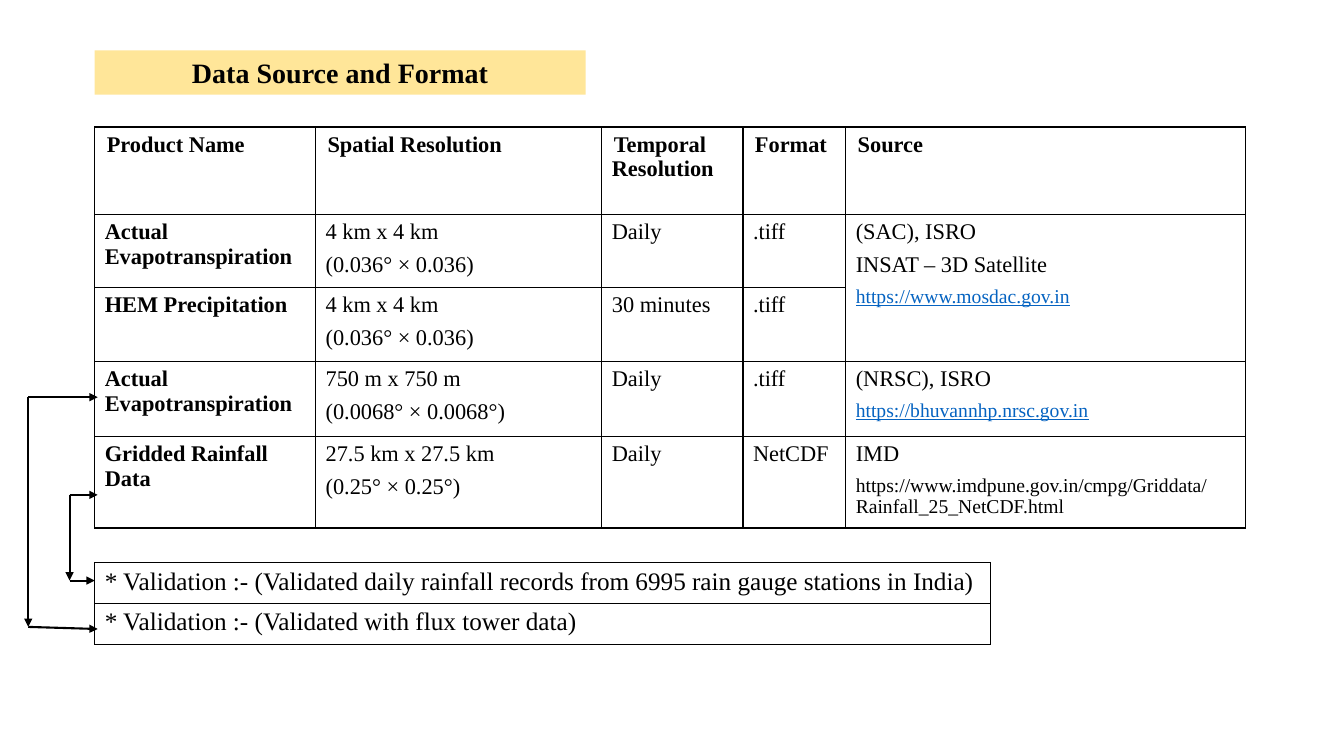
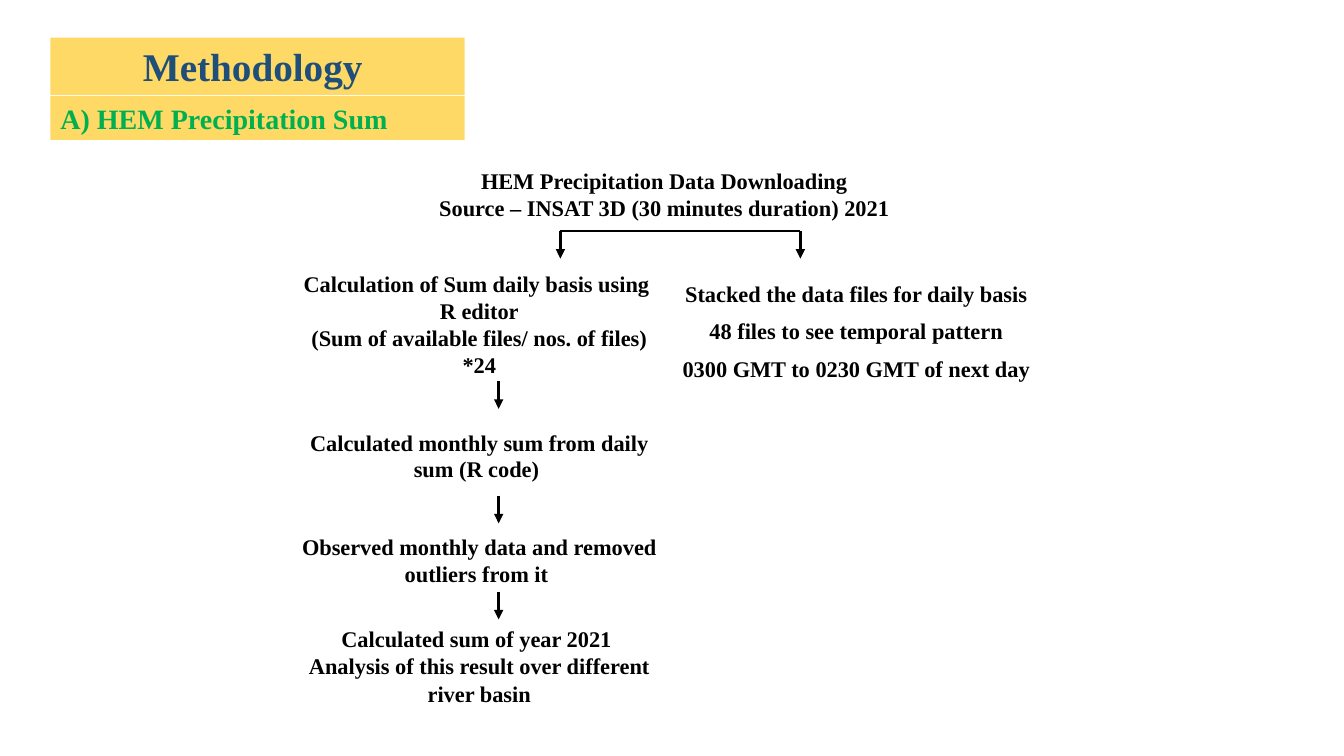
import pptx
import pptx.util
import pptx.dml.color
import pptx.enum.shapes
import pptx.enum.text
import pptx.oxml
import pptx.oxml.ns

Pt = pptx.util.Pt
ALIGN = pptx.enum.text.PP_ALIGN
FONT = "Times New Roman"
COLORS = {
    "black": "000000",
    "pale_yellow": "FFE699",
    "yellow": "FFD966",
    "navy": "1F4E79",
    "green": "00B050",
    "link": "0563C1",
}

# Paragraph formats
BODY = {"alignment": ALIGN.JUSTIFY, "space_after": Pt(6)}
LEFT = {"alignment": ALIGN.LEFT, "space_after": Pt(6)}
PLAIN = {"alignment": ALIGN.LEFT}
STEP = {"alignment": ALIGN.CENTER, "line_spacing": 1.1}
STEP_END = {"alignment": ALIGN.CENTER, "line_spacing": 1.07, "space_after": Pt(8)}
STACKED = {"alignment": ALIGN.CENTER, "line_spacing": 1.5}


def rgb(name):
    return pptx.dml.color.RGBColor.from_string(COLORS[name])


def set_values(target, values):
    for name, value in values.items():
        setattr(target, name, value)


def text(content, layout=BODY, size=16, color="black", indent=0, **font):
    """Describe one paragraph."""
    return {"content": content, "layout": layout, "color": color, "indent": indent,
            "font": {"name": FONT, "size": Pt(size), "bold": False, **font}}


def write(frame, paragraphs):
    frame.word_wrap = True
    for index, item in enumerate(paragraphs):
        paragraph = frame.add_paragraph() if index else frame.paragraphs[0]
        set_values(paragraph, item["layout"])
        if item["indent"]:
            paragraph._p.get_or_add_pPr().set("indent", str(Pt(item["indent"])))
        run = paragraph.add_run()
        run.text = item["content"]
        set_values(run.font, item["font"])
        run.font.color.rgb = rgb(item["color"])


def add_band(slide, box, fill, paragraph):
    shape = slide.shapes.add_shape(
        pptx.enum.shapes.MSO_SHAPE.RECTANGLE, *map(Pt, box))
    shape.shadow.inherit = False
    shape.fill.solid()
    shape.fill.fore_color.rgb = rgb(fill)
    shape.line.fill.background()
    write(shape.text_frame, [paragraph])


def add_line(slide, start, end, width=1.5, arrow=True):
    connector = slide.shapes.add_connector(
        pptx.enum.shapes.MSO_CONNECTOR.STRAIGHT, *map(Pt, (*start, *end)))
    connector.line.width = Pt(width)
    connector.line.color.rgb = rgb("black")
    if arrow:
        head = pptx.oxml.parse_xml(
            f'<a:tailEnd {pptx.oxml.ns.nsdecls("a")} type="triangle"/>')
        connector.line._get_or_add_ln().append(head)
    properties = connector._element.spPr
    properties.append(pptx.oxml.parse_xml(
        f'<a:effectLst {pptx.oxml.ns.nsdecls("a")}/>'))


def add_borders(cell):
    properties = cell._tc.get_or_add_tcPr()
    for side in ("lnL", "lnR", "lnT", "lnB"):
        properties.append(pptx.oxml.parse_xml(
            f'<a:{side} {pptx.oxml.ns.nsdecls("a")} w="{Pt(1)}"><a:solidFill>'
            f'<a:srgbClr val="{COLORS["black"]}"/></a:solidFill></a:{side}>'))


def add_grid(slide, corner, widths, heights, rows, merges=(), borders=True, margins=None):
    """Place a table; a row of rows lists the paragraphs of each cell."""
    size = (sum(widths), sum(heights))
    table = slide.shapes.add_table(
        len(heights), len(widths), *map(Pt, (*corner, *size))).table
    set_values(table, {"first_row": False, "horz_banding": False})
    for column, width in zip(table.columns, widths):
        column.width = Pt(width)
    for row, height in zip(table.rows, heights):
        row.height = Pt(height)
    for cell in table.iter_cells():
        if borders:
            add_borders(cell)
        cell.fill.background()
        set_values(cell, margins or {})
    for first, last in merges:
        table.cell(*first).merge(table.cell(*last))
    for row_index, row in enumerate(rows):
        for column_index, paragraphs in enumerate(row):
            if paragraphs:
                write(table.cell(row_index, column_index).text_frame, paragraphs)


def add_bracket(slide, rail, top, bottom, row_end, note_end):
    """Tie a table row to its validation note with arrows."""
    add_line(slide, (rail, top), (rail, bottom))
    add_line(slide, (rail, bottom), note_end)
    add_line(slide, (rail, top), (row_end, top))


def link(address):
    return text(address, size=14, color="link", underline=True)


def data_row(name, resolution, degrees, interval, file_format, source):
    layout = LEFT if name.startswith("Gridded") else BODY
    return [[text(name, layout, bold=True)], [text(resolution), text(degrees)],
            [text(interval)], [text(file_format)], source]


def data_source_slide(presentation):
    slide = presentation.slides.add_slide(presentation.slide_layouts[6])
    left = 67.7
    add_band(slide, (left, 36, 350.6, 31.7), "pale_yellow",
             text("Data Source and Format", {"alignment": ALIGN.CENTER}, 20, bold=True))

    # Products
    headings = ["Product Name", "Spatial Resolution", "Temporal Resolution",
                "Format", "Source"]
    rows = [
        [[text(heading, indent=1.4, bold=True)] for heading in headings],
        data_row("Actual Evapotranspiration", "4 km x 4 km ", "(0.036° × 0.036)",
                 "Daily", ".tiff",
                 [text("(SAC), ISRO"), text("INSAT – 3D Satellite "),
                  link("https://www.mosdac.gov.in")]),
        data_row("HEM Precipitation", "4 km x 4 km ", "(0.036° × 0.036)",
                 "30 minutes", ".tiff", None),
        data_row("Actual Evapotranspiration", "750 m x 750 m ",
                 "(0.0068° × 0.0068°)", "Daily", ".tiff",
                 [text("(NRSC), ISRO "), link("https://bhuvannhp.nrsc.gov.in")]),
        data_row("Gridded Rainfall Data", "27.5 km x 27.5 km ", "(0.25° × 0.25°)",
                 "Daily ", "NetCDF",
                 [text("IMD "), text("https://www.imdpune.gov.in/cmpg/Griddata/"
                                     "Rainfall_25_NetCDF.html", size=14)]),
    ]
    add_grid(slide, (left, 90.7), (157.7, 204.5, 100.8, 73.4, 285.8),
             (62.3, 52.2, 53, 53.5, 65.5), rows, merges=[((1, 4), (2, 4))])

    # Validation notes
    notes = ["* Validation :- (Validated daily rainfall records from 6995 rain gauge "
             "stations in India)",
             "* Validation :- (Validated with flux tower data)"]
    add_grid(slide, (left, 401.8), (640.1,), (29.2, 29.2),
             [[[text(note, PLAIN, 18)]] for note in notes])
    row_end = left + 2.1
    add_bracket(slide, 49.7, 353.5, 414.7, row_end, (left, 414.7))
    add_bracket(slide, 20.2, 283.7, 447.8, row_end, (row_end, 449.3))


def methodology_slide(presentation):
    slide = presentation.slides.add_slide(presentation.slide_layouts[6])
    left, width = 36, 295.9
    add_band(slide, (left, 26.9, width, 41), "yellow",
             text("Methodology ", {"alignment": ALIGN.CENTER}, 28, "navy", bold=True))

    # Processing steps
    steps = [
        [[("HEM Precipitation Data Downloading", STEP),
          ("Source – INSAT 3D (30 minutes duration) 2021", STEP_END)]],
        [[("Calculation of Sum daily basis using ", STEP), ("R editor", STEP),
          ("(Sum of available files/ nos. of files) *24", STEP_END)],
         [("Stacked the data files for daily basis", STACKED),
          ("48 files to see temporal pattern", STACKED),
          ("0300 GMT to 0230 GMT of next day", STACKED)]],
        [[("Calculated monthly sum from daily sum (R code) ", STEP_END)]],
        [[("Observed monthly data and removed outliers from it ", STEP_END)]],
        [[("Calculated sum of year 2021 ", STEP),
          ("Analysis of this result over different river basin", STEP)]],
    ]
    rows = [[[text(content, layout, bold=True) for content, layout in cell]
             for cell in row] for row in steps]
    margins = {"margin_left": Pt(5), "margin_right": Pt(5),
               "margin_top": 0, "margin_bottom": 0}
    add_grid(slide, (205.2, 119.5), (274.3, 264.2), (73.4, 113.8, 74.9, 64.8, 60.5),
             rows, merges=[((0, 0), (0, 1))], borders=False, margins=margins)

    # Arrows between steps, and the fork below the first one
    fork_top, fork_ends = 164.9, (400.3, 571.7)
    arrows = [(356.2, top) for top in (272.2, 354, 422.6)]
    arrows += [(x, fork_top) for x in fork_ends]
    for x, top in arrows:
        add_line(slide, (x, top), (x, top + 19.8), 2.25)
    add_line(slide, (fork_ends[0], fork_top), (fork_ends[1], fork_top), arrow=False)

    add_band(slide, (left, 68.4, width, 31.5), "yellow",
             text("A) HEM Precipitation Sum", PLAIN, 20, "green", bold=True))


def main():
    presentation = pptx.Presentation()
    set_values(presentation, {"slide_width": Pt(960), "slide_height": Pt(540)})
    data_source_slide(presentation)
    methodology_slide(presentation)
    presentation.save("out.pptx")


if __name__ == "__main__":
    main()
